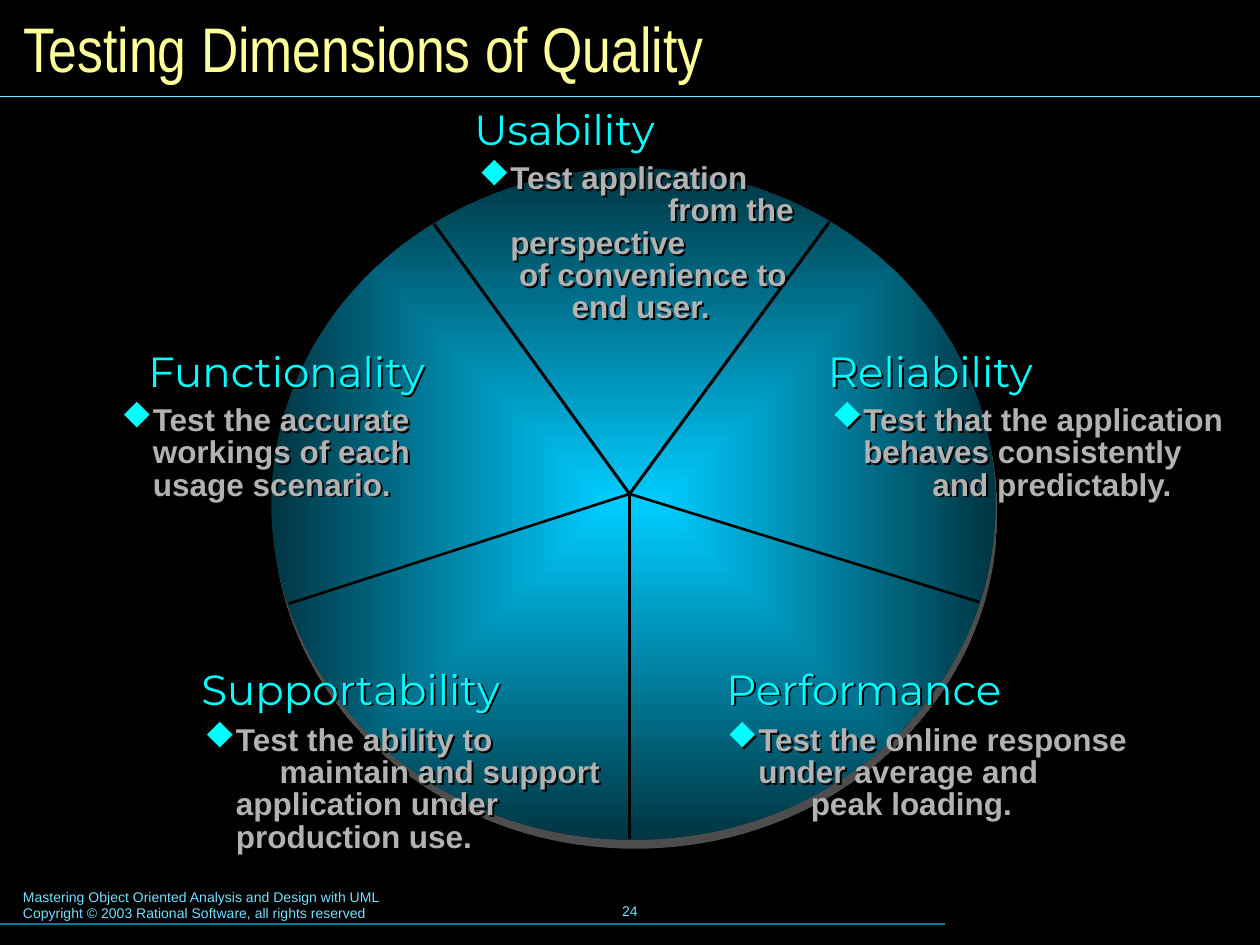
from lxml import etree
from pptx import Presentation
from pptx.dml.color import RGBColor
from pptx.enum.shapes import MSO_CONNECTOR, MSO_SHAPE
from pptx.enum.text import MSO_ANCHOR, PP_ALIGN
from pptx.oxml import parse_xml
from pptx.oxml.ns import qn
from pptx.util import Pt

LEFT, CENTER, RIGHT = PP_ALIGN.LEFT, PP_ALIGN.CENTER, PP_ALIGN.RIGHT
MIDDLE = MSO_ANCHOR.MIDDLE
STRAIGHT = MSO_CONNECTOR.STRAIGHT
NS = 'xmlns:a="http://schemas.openxmlformats.org/drawingml/2006/main"'
DISC_GRADIENT = (f'<a:gradFill {NS}><a:gsLst>'
                 '<a:gs pos="0"><a:srgbClr val="00CCFF"/></a:gs>'
                 '<a:gs pos="100000"><a:srgbClr val="003542"/></a:gs></a:gsLst>'
                 '<a:path path="rect"><a:fillToRect l="50000" t="50000" r="50000" b="50000"/>'
                 '</a:path></a:gradFill>')

TITLE = {"size": Pt(36), "name": "Arial Narrow", "bold": False}
FOOTER = {"size": Pt(8), "name": "Arial", "bold": False}
HEADING = {"size": Pt(24), "name": "Montserrat", "bold": False}
BODY = {"size": Pt(18), "name": "Arial", "bold": True}


def color(value):
    return RGBColor.from_string(value)


def write(frame, lines, style, hex_color, align=LEFT, spacing=1.0):
    frame.word_wrap = True
    for index, line in enumerate(lines):
        paragraph = frame.paragraphs[0] if index == 0 else frame.add_paragraph()
        paragraph.alignment = align
        paragraph.line_spacing = spacing
        paragraph.space_before = Pt(0)
        run = paragraph.add_run()
        run.text = line
        for key, value in style.items():
            setattr(run.font, key, value)
        run.font.color.rgb = color(hex_color)


prs = Presentation()
prs.slide_width, prs.slide_height = Pt(720), Pt(540)
slide = prs.slides.add_slide(prs.slide_layouts[5])
shapes = slide.shapes
slide.background.fill.solid()
slide.background.fill.fore_color.rgb = color("000000")

title = shapes.title
title.left, title.top, title.width, title.height = Pt(6), Pt(6), Pt(708), Pt(42)
title.text_frame.vertical_anchor = MIDDLE
write(title.text_frame, ["Testing Dimensions of Quality"], TITLE, "FFFF99")

page_number = shapes.add_textbox(Pt(246), Pt(502.5), Pt(228), Pt(36)).text_frame
page_number.vertical_anchor = MIDDLE
write(page_number, ["24"], FOOTER, "73E1FF", CENTER)
credit = shapes.add_textbox(Pt(6), Pt(504), Pt(367), Pt(26.5)).text_frame
write(credit, ["Mastering Object Oriented Analysis and Design with UML",
               "Copyright © 2003 Rational Software, all rights reserved"], FOOTER, "73E1FF")

disc = shapes.add_shape(MSO_SHAPE.OVAL, Pt(155), Pt(96), Pt(414), Pt(384))
disc.line.fill.background()
disc._element.spPr.find(qn("a:prstGeom")).addnext(parse_xml(DISC_GRADIENT))
shadows = [(disc, "4D4D4D", Pt(5.1), 79)]

hub = (359.75, 282.25)
rules = [
    ((0, 528), (540, 528), "007E9F", 0.75),
    ((0, 55), (720, 55), "73E1FF", 0.75),
    (hub, (474, 126.75), "000000", 1.75),
    (hub, (559.5, 344), "000000", 1.5),
    (hub, (359.75, 479.5), "000000", 1.5),
    (hub, (248, 128), "000000", 1.75),
    (hub, (165, 345), "000000", 1.5),
]
for start, end, rule_color, width in rules:
    rule = shapes.add_connector(STRAIGHT, *map(Pt, start + end))
    rule.line.color.rgb = color(rule_color)
    rule.line.width = Pt(width)
    etree.SubElement(rule._element.spPr, qn("a:effectLst"))

dimensions = [
    ("Reliability", (466, 198.25, 196), LEFT, (468.25, 228.5, 258),
     [("Test that the application behaves consistently", 0), ("and predictably.", 39.5)]),
    ("Performance", (408, 379.75, 196), LEFT, (408.25, 411.25, 245.5),
     [("Test the online response under average and", 0), ("peak loading.", 30)]),
    ("Functionality", (53.75, 198.25, 196), RIGHT, (62.25, 228.5, 234),
     [("Test the accurate workings of each usage scenario.", 0)]),
    ("Usability", (264, 60, 196), LEFT, (266.5, 90.25, 264),
     [("Test application", 0), ("from the", 90), ("perspective", 0),
      ("of convenience to", 5), ("end user.", 35)]),
    ("Supportability", (108, 379.75, 220), LEFT, (109.75, 411.25, 270),
     [("Test the ability to", 0), ("maintain and support", 25),
      ("application under production use.", 0)]),
]
for name, heading_at, align, body_at, lines in dimensions:
    heading = shapes.add_textbox(*map(Pt, heading_at), Pt(32))
    write(heading.text_frame, [name], HEADING, "00FFFF", align, 0.85)

    body = shapes.add_textbox(*map(Pt, body_at), Pt(62.5))
    write(body.text_frame, [text for text, _ in lines], BODY, "B2B2B2", LEFT, 0.85)
    for index, (paragraph, (_, indent)) in enumerate(zip(body.text_frame.paragraphs, lines)):
        properties = paragraph._p.get_or_add_pPr()
        properties.set("marL", str(Pt(18 + indent)))
        properties.set("indent", str(Pt(0 if index else -18)))
        if index == 0:
            bullet_color = etree.SubElement(properties, qn("a:buClr"))
            etree.SubElement(bullet_color, qn("a:srgbClr"), val="00FFFF")
            etree.SubElement(properties, qn("a:buFont"), typeface="Wingdings",
                             pitchFamily="2", charset="2")
            etree.SubElement(properties, qn("a:buChar"), char="u")
    shadows += [(box, "000000", Pt(1.6), 45) for box in (heading, body)]

for shape, shadow_color, distance, angle in shadows:
    effects = etree.SubElement(shape._element.spPr, qn("a:effectLst"))
    shadow = etree.SubElement(effects, qn("a:outerShdw"), dist=str(distance),
                              dir=str(angle * 60000), algn="ctr", rotWithShape="0")
    etree.SubElement(shadow, qn("a:srgbClr"), val=shadow_color)

prs.save("out.pptx")
